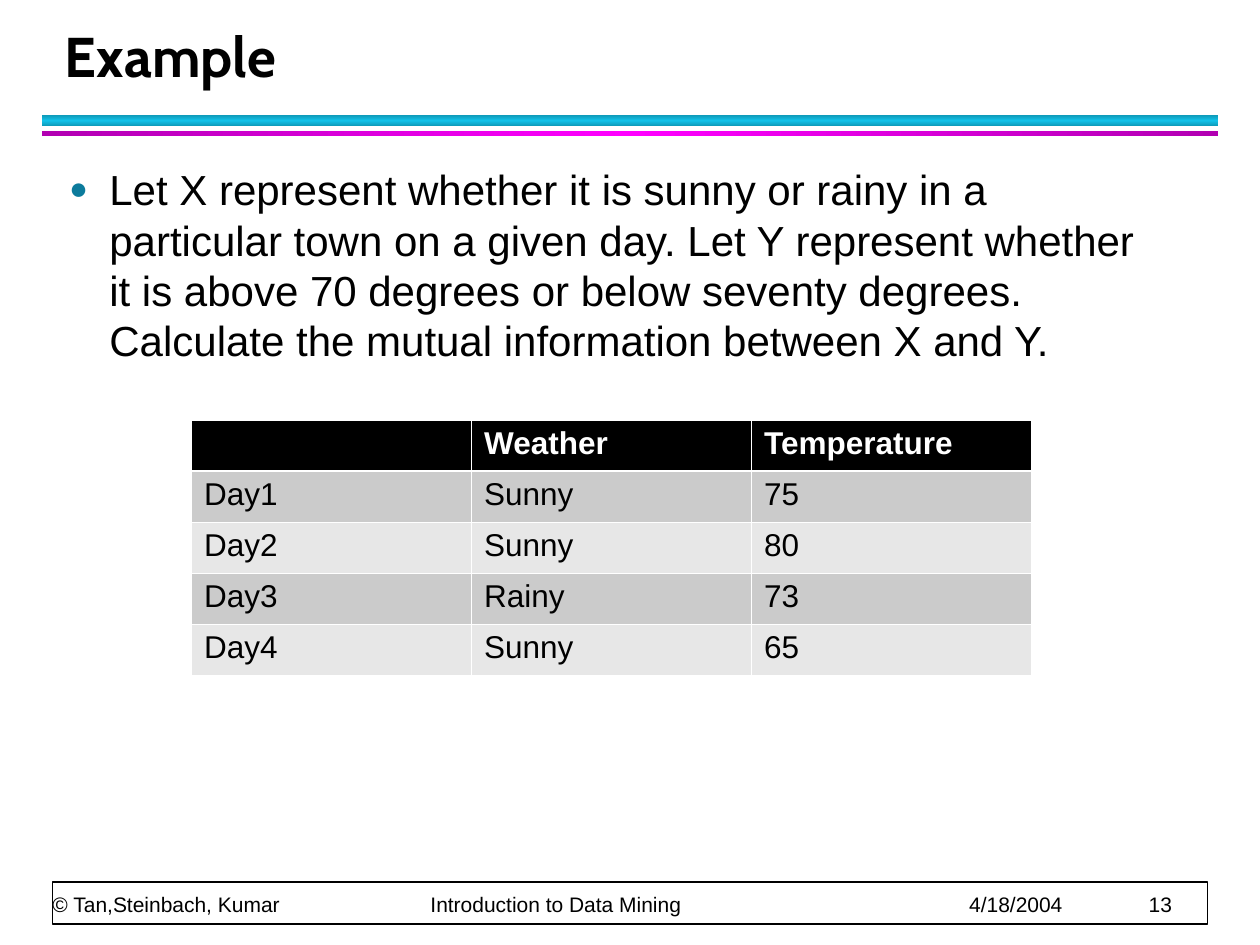
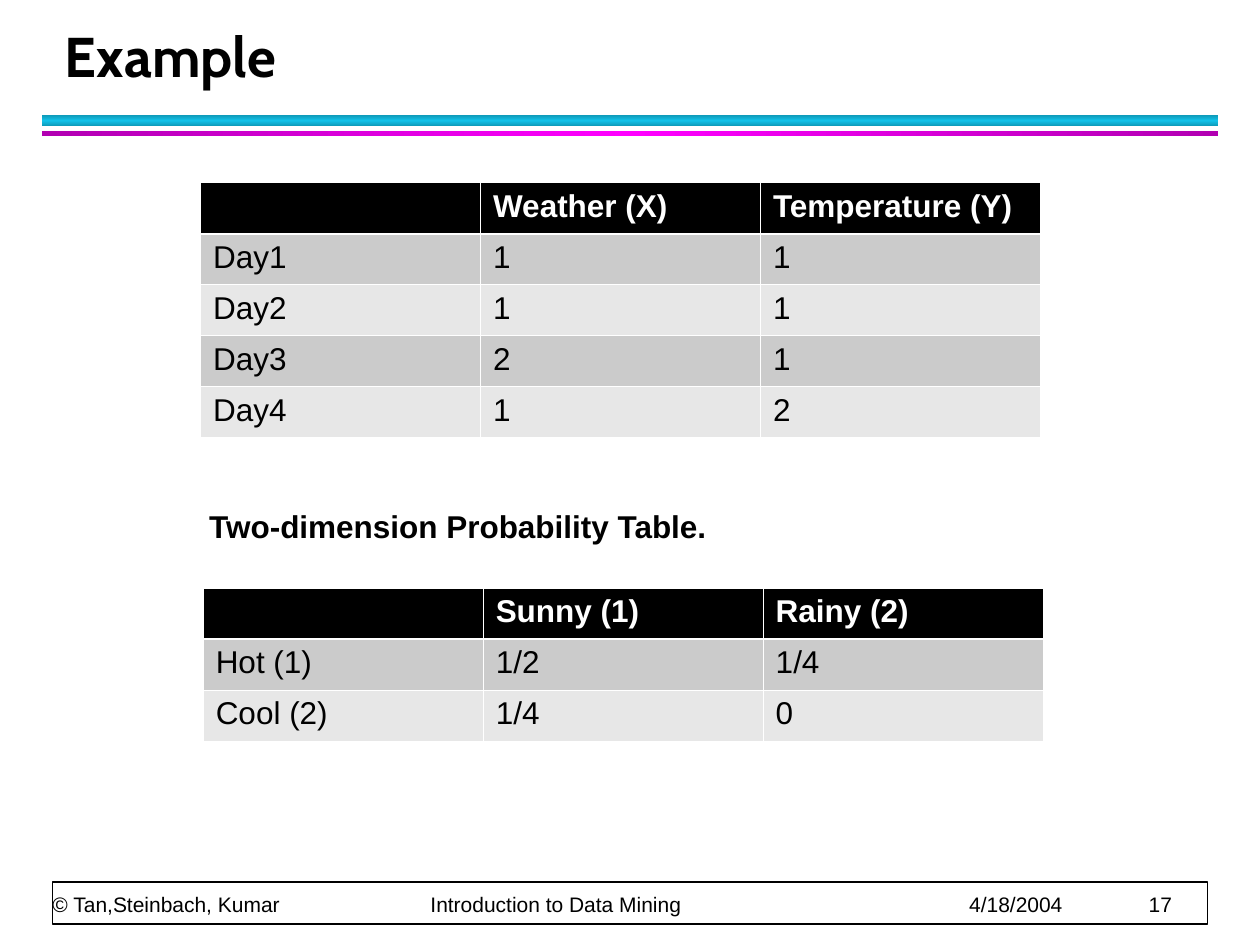
from copy import deepcopy
from dataclasses import dataclass

from lxml.etree import SubElement
from pptx import Presentation
from pptx.dml.color import RGBColor as RGB
from pptx.enum.shapes import MSO_SHAPE as SHAPE
from pptx.enum.text import MSO_ANCHOR as ANCHOR
from pptx.oxml import parse_xml
from pptx.oxml.ns import nsdecls, qn
from pptx.util import Emu, Inches, Pt


# Theme: colours, fonts and type sizes
@dataclass(frozen=True)
class Theme:
    black: str = "000000"
    white: str = "FFFFFF"
    bullet: str = "0C7B9C"
    stripes: tuple[str, str] = ("CBCBCB", "E7E7E7")
    title_font: str = "Cabin"
    text_font: str = "Arial"
    title_size: int = 32
    body_size: int = 24
    table_size: int = 18
    footer_size: int = 12
    thin: float = 0.45
    thick: float = 1.47


T = Theme()

# Grid: 120 columns by 90 rows of equal square units
WIDTH, HEIGHT = Inches(10), Inches(7.5)
COL, ROW = WIDTH / 120, HEIGHT / 90


@dataclass(frozen=True)
class Box:
    col: float
    row: float
    cols: float
    rows: float

    def emu(self) -> tuple[Emu, ...]:
        return (Emu(round(self.col * COL)), Emu(round(self.row * ROW)),
                Emu(round(self.cols * COL)), Emu(round(self.rows * ROW)))


@dataclass(frozen=True)
class Band:
    box: Box
    edge: str
    middle: str
    angle: int


@dataclass(frozen=True)
class Style:
    size: int
    font: str = T.text_font
    color: str = T.black
    bold: bool = False


@dataclass(frozen=True)
class Grid:
    col: float
    row: float
    rows: tuple[tuple[str, ...], ...]


# Parts shared by the slides
BANDS = (
    Band(Box(4, 11, 112, 1), "0E9BBA", "12C2E9", 90),
    Band(Box(4, 12.5, 112, 0.5), "B200B2", "FF00FF", 0),
)
TITLE_BOX = Box(5, 2, 108.7, 7)
FOOTER_FRAME = Box(5, 84, 110, 4)
FOOTER_BOX = Box(5, 80.6, 109.8, 6.75)
FOOTER_TABS = (36, 87.3, 104.4)
TABLE_COLS, TABLE_ROW = 80, 4.86

TITLE = Style(T.title_size, T.title_font, bold=True)
BODY = Style(T.body_size)
CAPTION = Style(T.table_size, bold=True)
HEAD = Style(T.table_size, color=T.white, bold=True)
CELL = Style(T.table_size)
FOOTER = Style(T.footer_size)


def add_run(p, text: str, style: Style) -> None:
    r = p.add_run()
    r.text = text
    f = r.font
    f.name, f.size, f.bold = style.font, Pt(style.size), style.bold
    f.color.rgb = RGB.from_string(style.color)


def add_text(slide, box: Box, text: str, style: Style,
             anchor=ANCHOR.TOP, wrap: bool = True):
    tf = slide.shapes.add_textbox(*box.emu()).text_frame
    tf.word_wrap, tf.vertical_anchor = wrap, anchor
    p = tf.paragraphs[0]
    add_run(p, text, style)
    return tf, p


def add_rect(slide, box: Box):
    sp = slide.shapes.add_shape(SHAPE.RECTANGLE, *box.emu())
    sp.shadow.inherit = False
    return sp


def add_band(slide, band: Band) -> None:
    sp = add_rect(slide, band.box)
    sp.line.fill.background()
    sp.fill.gradient()
    sp.fill.gradient_angle = band.angle
    stops = next(sp.element.iter(qn("a:gsLst")))
    stops.append(deepcopy(stops[0]))
    colors = (band.edge, band.middle, band.edge)
    for i, (stop, color) in enumerate(zip(sp.fill.gradient_stops, colors)):
        stop.color.rgb = RGB.from_string(color)
        stop.position = i / 2


def add_footer(slide, number: int) -> None:
    frame = add_rect(slide, FOOTER_FRAME)
    frame.fill.solid()
    frame.fill.fore_color.rgb = RGB.from_string(T.white)
    frame.line.color.rgb = RGB.from_string(T.black)
    frame.line.width = Pt(1)
    parts = ("© Tan,Steinbach, Kumar", "Introduction to Data Mining",
             "4/18/2004", str(number))
    tf, p = add_text(slide, FOOTER_BOX, "\t".join(parts), FOOTER, ANCHOR.BOTTOM)
    tf.margin_left = tf.margin_right = tf.margin_top = tf.margin_bottom = 0
    p.line_spacing = Pt(20)
    tabs = SubElement(p._p.get_or_add_pPr(), qn("a:tabLst"))
    for col in FOOTER_TABS:
        SubElement(tabs, qn("a:tab"), pos=str(round(col * COL)), algn="l")


def add_bullet(slide, box: Box, text: str) -> None:
    _, p = add_text(slide, box, text, BODY)
    p.space_before, p.space_after = Pt(3), Pt(4)
    pPr = p._p.get_or_add_pPr()
    indent = Inches(0.32)
    pPr.set("marL", str(indent))
    pPr.set("indent", str(-indent))
    color = SubElement(pPr, qn("a:buClr"))
    SubElement(color, qn("a:srgbClr"), val=T.bullet)
    SubElement(pPr, qn("a:buSzPct"), val="75000")
    SubElement(pPr, qn("a:buFont"), typeface=T.text_font)
    SubElement(pPr, qn("a:buChar"), char="●")


def set_borders(cell, top: float, bottom: float) -> None:
    tcPr = cell._tc.get_or_add_tcPr()
    widths = {"L": T.thin, "R": T.thin, "T": top, "B": bottom}
    for i, (side, width) in enumerate(widths.items()):
        tcPr.insert(i, parse_xml(
            f'<a:ln{side} {nsdecls("a")} w="{Pt(width)}"><a:solidFill>'
            f'<a:srgbClr val="{T.white}"/></a:solidFill></a:ln{side}>'))


def add_grid(slide, grid: Grid) -> None:
    n_rows, n_cols = len(grid.rows), len(grid.rows[0])
    box = Box(grid.col, grid.row, TABLE_COLS, TABLE_ROW * n_rows)
    table = slide.shapes.add_table(n_rows, n_cols, *box.emu()).table
    table.first_row = table.horz_banding = False
    for i, row in enumerate(grid.rows):
        fill = T.stripes[(i - 1) % 2] if i else T.black
        for j, text in enumerate(row):
            cell = table.cell(i, j)
            cell.fill.solid()
            cell.fill.fore_color.rgb = RGB.from_string(fill)
            set_borders(cell, T.thick if i == 1 else T.thin,
                        T.thin if i else T.thick)
            if text:
                add_run(cell.text_frame.paragraphs[0], text, CELL if i else HEAD)


def new_slide(prs, title: str, number: int):
    slide = prs.slides.add_slide(prs.slide_layouts[6])
    for band in BANDS:
        add_band(slide, band)
    add_footer(slide, number)
    _, p = add_text(slide, TITLE_BOX, title, TITLE, ANCHOR.BOTTOM)
    p.line_spacing = Pt(36)
    return slide


# Slide content
QUESTION = (
    "Let X represent whether it is sunny or rainy in a particular town on a "
    "given day. Let Y represent whether it is above 70 degrees or below "
    "seventy degrees. Calculate the mutual information between X and Y."
)
OBSERVATIONS = Grid(18.25, 40, (
    ("", "Weather", "Temperature"),
    ("Day1", "Sunny", "75"),
    ("Day2", "Sunny", "80"),
    ("Day3", "Rainy", "73"),
    ("Day4", "Sunny", "65"),
))
CODED = Grid(19.1, 17.4, (
    ("", "Weather (X)", "Temperature (Y)"),
    ("Day1", "1", "1"),
    ("Day2", "1", "1"),
    ("Day3", "2", "1"),
    ("Day4", "1", "2"),
))
PROBABILITIES = Grid(19.35, 56, (
    ("", "Sunny (1)", "Rainy (2)"),
    ("Hot (1)", "1/2", "1/4"),
    ("Cool (2)", "1/4", "0"),
))


def main() -> None:
    prs = Presentation()
    prs.slide_width, prs.slide_height = WIDTH, HEIGHT

    # The question and its observations
    slide = new_slide(prs, "Example", 13)
    add_bullet(slide, Box(5.4, 15, 105.6, 21), QUESTION)
    add_grid(slide, OBSERVATIONS)

    # Coded observations and joint probabilities
    slide = new_slide(prs, "Example", 17)
    add_grid(slide, PROBABILITIES)
    add_grid(slide, CODED)
    add_text(slide, Box(18.75, 47.7, 50.2, 4.8),
             "Two-dimension Probability Table.", CAPTION, wrap=False)

    prs.save("out.pptx")


if __name__ == "__main__":
    main()
